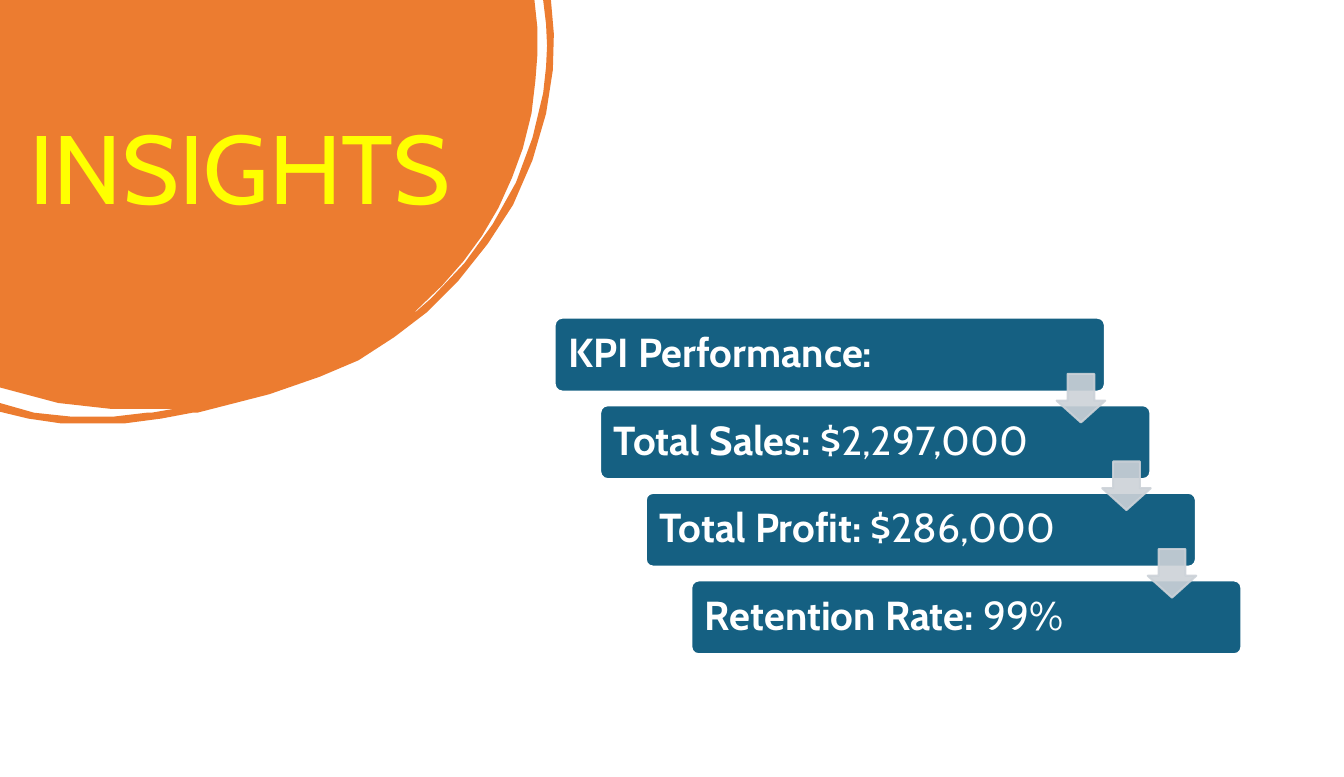
"""Build the Insights slide: an orange disc with the title and a staircase of KPI bars."""
from lxml.etree import SubElement
from pptx import Presentation
from pptx.dml.color import RGBColor
from pptx.enum.shapes import MSO_SHAPE
from pptx.enum.text import MSO_ANCHOR, PP_ALIGN
from pptx.oxml.ns import qn
from pptx.util import Cm, Pt


def color(hex_string):
    return RGBColor.from_string(hex_string)


def set_alpha(color_format_fill, percent):
    color_element = color_format_fill.find(qn("a:solidFill"))[0]
    SubElement(color_element, qn("a:alpha")).set("val", str(percent * 1000))


FONT = "Cabin"
STEP_X, STEP_Y = 1.19, 2.29
DISC = [
    (0, 0), (550, 0), (553, 28), (553, 57), (551, 83), (547, 117), (538, 153),
    (527, 183), (513, 214), (496, 243), (477, 269), (455, 294), (427, 321),
    (440, 321), (406, 347), (369, 371), (329, 388), (277, 406), (203, 425),
    (156, 425), (179, 421), (114, 421), (60, 415), (0, 399),
]
RIGHT_RING = [
    (559, 0), (562, 25), (563, 47), (562, 69), (559, 96), (548, 142), (531, 188),
    (507, 231), (478, 271), (444, 307), (428, 321), (440, 321), (471, 290),
    (502, 251), (528, 211), (548, 165), (562, 117), (569, 72), (570, 35), (567, 0),
]
BOTTOM_RING = [
    (0, 415), (35, 425), (73, 429), (117, 429), (151, 425), (198, 425),
    (166, 431), (128, 436), (63, 436), (29, 431), (0, 424),
]
KPIS = [
    ("KPI Performance:", ""),
    ("Total Sales:", " $2,297,000"),
    ("Total Profit:", " $286,000"),
    ("Retention Rate:", " 99%"),
]

presentation = Presentation()
presentation.slide_width = Cm(35.13)
presentation.slide_height = Cm(20.32)
slide = presentation.slides.add_slide(presentation.slide_layouts[5])
shapes = slide.shapes

builder = shapes.build_freeform(*DISC[0], scale=Cm(2.54) / 100)
builder.add_line_segments(DISC[1:])
for ring in (RIGHT_RING, BOTTOM_RING):
    builder.move_to(*ring[0])
    builder.add_line_segments(ring[1:])
disc = builder.convert_to_shape()
disc.shadow.inherit = False
disc.fill.solid()
disc.fill.fore_color.rgb = color("EC7C30")
disc.line.fill.background()

title = shapes.title
title.left, title.top, title.width, title.height = Cm(0.76), Cm(2.79), Cm(12.22), Cm(3.12)
shapes._spTree.append(title._element)
title_frame = title.text_frame
title_frame.text = "INSIGHTS"
title_frame.margin_left = title_frame.margin_right = 0
title_frame.margin_top = Cm(0.03)
title_frame.margin_bottom = 0
title_frame.vertical_anchor = MSO_ANCHOR.TOP
paragraph = title_frame.paragraphs[0]
paragraph.alignment = PP_ALIGN.LEFT
paragraph.font.name = FONT
paragraph.font.size = Pt(72)
paragraph.font.color.rgb = color("FFFF00")

for index, (label, value) in enumerate(KPIS):
    bar = shapes.add_shape(
        MSO_SHAPE.ROUNDED_RECTANGLE,
        Cm(14.5 + index * STEP_X), Cm(8.31 + index * STEP_Y), Cm(14.38), Cm(1.93),
    )
    bar.adjustments[0] = 0.1
    bar.shadow.inherit = False
    bar.fill.solid()
    bar.fill.fore_color.rgb = color("156082")
    bar.line.color.rgb = color("FFFFFF")
    bar.line.width = Pt(1.5)
    frame = bar.text_frame
    frame.margin_left = frame.margin_right = Cm(0.3)
    frame.margin_top = frame.margin_bottom = Cm(0.2)
    frame.vertical_anchor = MSO_ANCHOR.MIDDLE
    paragraph = frame.paragraphs[0]
    paragraph.alignment = PP_ALIGN.LEFT
    paragraph.line_spacing = 0.9
    paragraph.font.name = FONT
    paragraph.font.size = Pt(30)
    paragraph.font.color.rgb = color("FFFFFF")
    for text, bold in ((label, True), (value, False)):
        if text:
            run = paragraph.add_run()
            run.text = text
            run.font.bold = bold

for index in range(len(KPIS) - 1):
    arrow = shapes.add_shape(
        MSO_SHAPE.DOWN_ARROW,
        Cm(27.62 + index * STEP_X), Cm(9.78 + index * STEP_Y), Cm(1.27), Cm(1.27),
    )
    arrow.adjustments[0] = 0.55
    arrow.adjustments[1] = 0.45
    arrow.shadow.inherit = False
    arrow.fill.solid()
    arrow.fill.fore_color.rgb = color("CCD2D8")
    arrow.line.color.rgb = color("CCD2D8")
    arrow.line.width = Pt(1.5)
    properties = arrow._element.spPr
    set_alpha(properties, 90)
    set_alpha(properties.find(qn("a:ln")), 90)

presentation.save("out.pptx")
